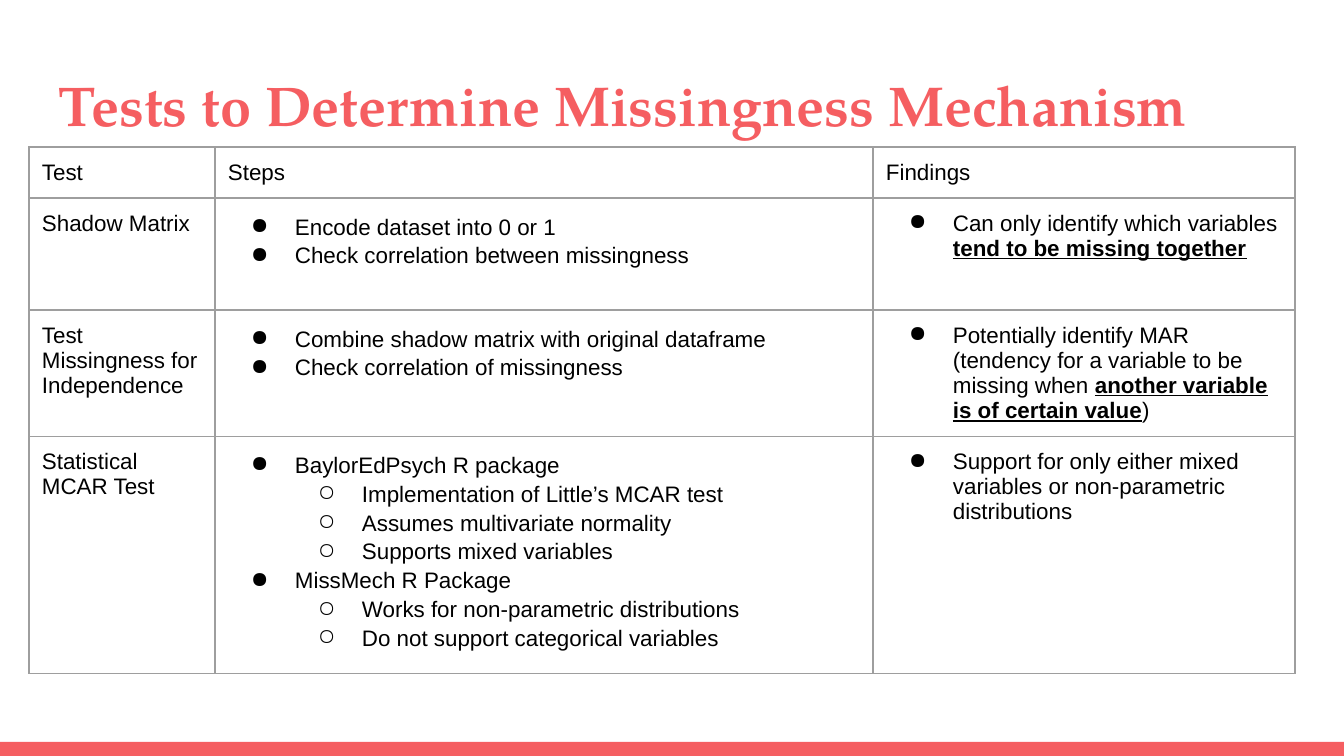
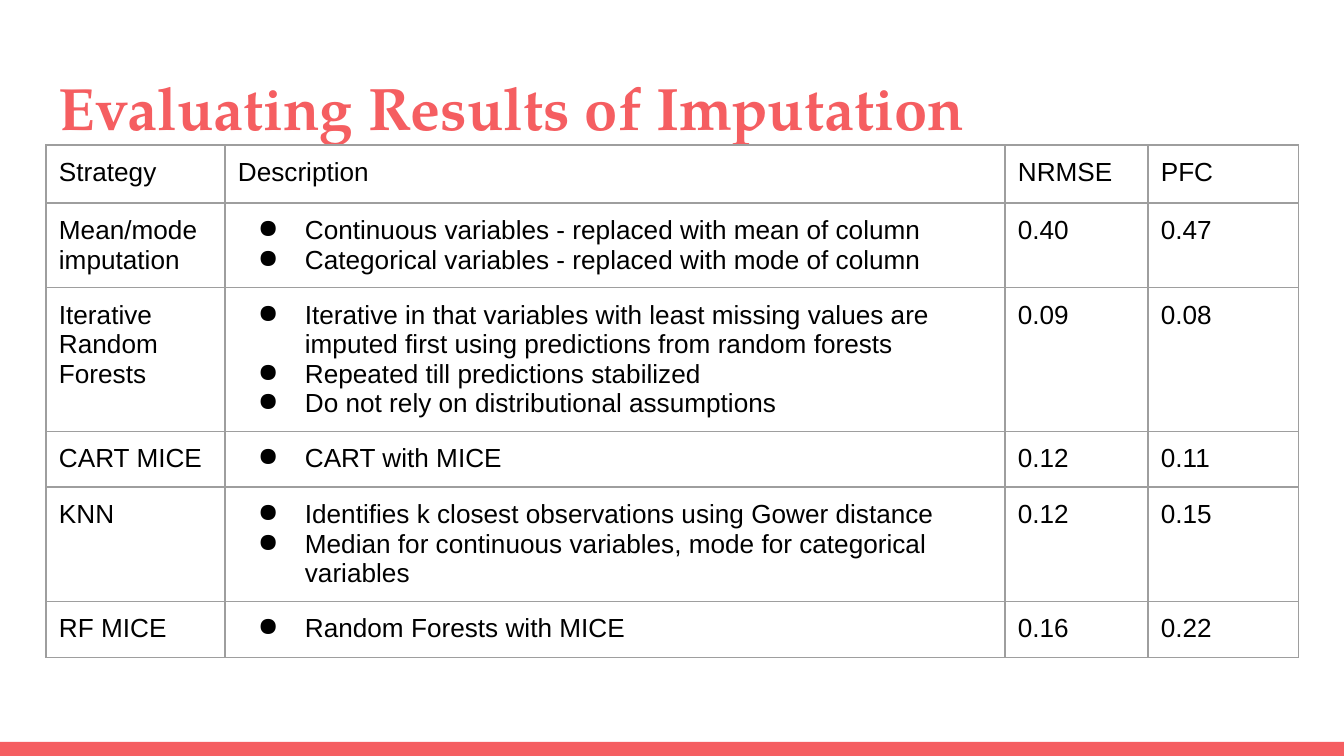
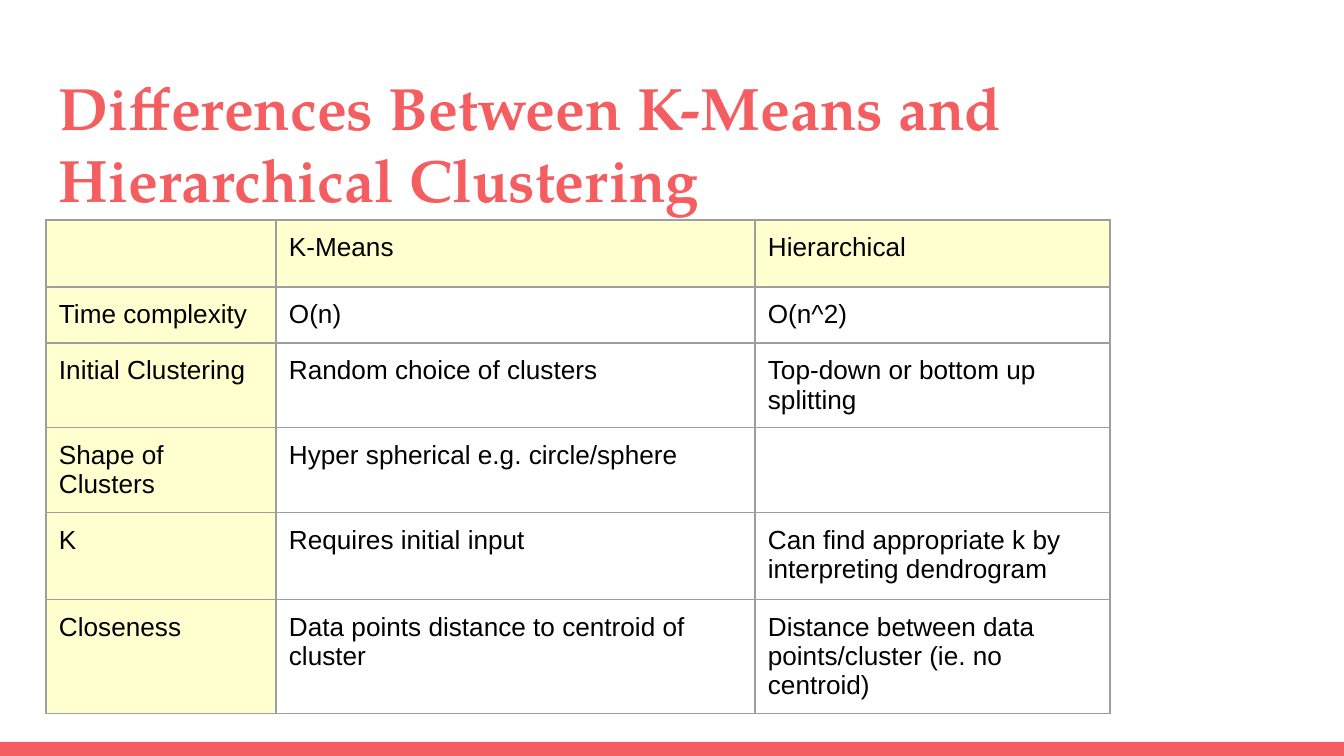
from lxml.etree import SubElement
from pptx import Presentation
from pptx.dml.color import RGBColor
from pptx.enum.shapes import MSO_SHAPE
from pptx.enum.text import MSO_ANCHOR, MSO_AUTO_SIZE, PP_ALIGN
from pptx.oxml.ns import qn
from pptx.util import Emu, Pt

# Shared look
SLIDE_W, SLIDE_H = 1344, 756
EMU_PER_PX = 9144000 / SLIDE_W
CORAL, BLACK, GRID, YELLOW = "F55E61", "000000", "9E9E9E", "FFFF00"
TITLE_FONT, BODY_FONT = "TeX Gyre Pagella", "Arial"
TITLE_BOX = (46, 58, 1253, 91)
BAND_BOX = (0, 742, SLIDE_W, 14)
INSET, INDENT = 13, 67
HEADER_ALPHA = 19

MISSINGNESS_TESTS = [
    ["Test", "Steps", "Findings"],
    ["Shadow Matrix",
     ["Encode dataset into 0 or 1", "Check correlation between missingness"],
     ["Can only identify which variables **tend to be missing together**"]],
    ["Test Missingness for Independence",
     ["Combine shadow matrix with original dataframe",
      "Check correlation of missingness"],
     ["Potentially identify MAR (tendency for a variable to be missing when "
      "**another variable is of certain value**)"]],
    ["Statistical MCAR Test",
     ["BaylorEdPsych R package",
      ["Implementation of Little’s MCAR test",
       "Assumes multivariate normality",
       "Supports mixed variables"],
      "MissMech R Package",
      ["Works for non-parametric distributions",
       "Do not support categorical variables"]],
     ["Support for only either mixed variables or non-parametric distributions"]],
]

IMPUTATION_RESULTS = [
    ["Strategy", "Description", "NRMSE", "PFC"],
    ["Mean/mode imputation",
     ["Continuous variables - replaced with mean of column",
      "Categorical variables - replaced with mode of column"],
     "0.40", "0.47"],
    ["Iterative Random Forests",
     ["Iterative in that variables with least missing values are imputed first "
      "using predictions from random forests",
      "Repeated till predictions stabilized",
      "Do not rely on distributional assumptions"],
     "0.09", "0.08"],
    ["CART MICE", ["CART with MICE"], "0.12", "0.11"],
    ["KNN",
     ["Identifies k closest observations using Gower distance",
      "Median for continuous variables, mode for categorical variables"],
     "0.12", "0.15"],
    ["RF MICE", ["Random Forests with MICE"], "0.16", "0.22"],
]

CLUSTERING_DIFFERENCES = [
    ["", "K-Means", "Hierarchical"],
    ["Time complexity", "O(n)", "O(n^2)"],
    ["Initial Clustering", "Random choice of clusters",
     "Top-down or bottom up splitting"],
    ["Shape of Clusters", "Hyper spherical e.g. circle/sphere", ""],
    ["K", "Requires initial input",
     "Can find appropriate k by interpreting dendrogram"],
    ["Closeness", "Data points distance to centroid of cluster",
     "Distance between data points/cluster (ie. no centroid)"],
]

SLIDES = [
    dict(title="Tests to Determine Missingness Mechanism", title_size=30,
         rows=MISSINGNESS_TESTS, origin=(29, 147), widths=(186, 658, 422),
         heights=(47, 112, 116, 237), size=12, hanging=44, loose_column=1),
    dict(title="Evaluating Results of Imputation", title_size=32,
         rows=IMPUTATION_RESULTS, origin=(46, 145), widths=(179, 780, 143, 151),
         heights=(58,) + (56,) * 5, size=14, hanging=47),
    dict(title="Differences Between K-Means and Hierarchical Clustering",
         title_size=32, rows=CLUSTERING_DIFFERENCES, origin=(46, 220),
         widths=(230, 479, 355), heights=(56,) * 4 + (87,) * 2, size=14,
         tinted=True),
]


def px(length):
    return Emu(round(length * EMU_PER_PX))


def color(hex_code):
    return RGBColor.from_string(hex_code)


def apply(target, values):
    for name, value in values.items():
        setattr(target, name, value)


def write_run(paragraph, text, hex_code, **font_values):
    run = paragraph.add_run()
    run.text = text
    apply(run.font, font_values)
    run.font.color.rgb = color(hex_code)


def add_band(slide, box):
    band = slide.shapes.add_shape(MSO_SHAPE.RECTANGLE, *map(px, box))
    band.shadow.inherit = False
    band.fill.solid()
    band.fill.fore_color.rgb = color(CORAL)
    band.line.fill.background()


def add_title(slide, text, size, box):
    title = slide.shapes.title
    apply(title, dict(zip(("left", "top", "width", "height"), map(px, box))))
    frame = title.text_frame
    margins = dict.fromkeys(
        ("margin_left", "margin_top", "margin_right", "margin_bottom"), px(INSET))
    apply(frame, dict(margins, word_wrap=True, auto_size=MSO_AUTO_SIZE.NONE,
                      vertical_anchor=MSO_ANCHOR.TOP))
    heading = frame.paragraphs[0]
    heading.alignment = PP_ALIGN.LEFT
    write_run(heading, text, CORAL, name=TITLE_FONT, size=Pt(size), bold=True)


def add_bullet(paragraph, level, hanging):
    paragraph.level = level
    properties = paragraph._p.get_or_add_pPr()
    properties.set("marL", str(px(INDENT * (level + 1))))
    properties.set("indent", str(-px(hanging)))
    bullet_color = SubElement(properties, qn("a:buClr"))
    SubElement(bullet_color, qn("a:srgbClr"), val=BLACK)
    SubElement(properties, qn("a:buChar"), char="●○"[level])


def add_borders(cell):
    properties = cell._tc.get_or_add_tcPr()
    for side in "LRTB":
        border = SubElement(properties, qn(f"a:ln{side}"), w=str(Pt(0.75)))
        fill = SubElement(border, qn("a:solidFill"))
        SubElement(fill, qn("a:srgbClr"), val=GRID)


def fill_cell(cell, tinted):
    if not tinted:
        cell.fill.background()
        return
    cell.fill.solid()
    cell.fill.fore_color.rgb = color(YELLOW)
    tint = cell._tc.tcPr.find(f"{qn('a:solidFill')}/{qn('a:srgbClr')}")
    SubElement(tint, qn("a:alpha"), val=str(HEADER_ALPHA * 1000))


def leveled(content):
    """Yield each line with its bullet level; plain text has none."""
    if isinstance(content, str):
        yield content, None
        return
    for item in content:
        if isinstance(item, str):
            yield item, 0
        else:
            yield from ((line, 1) for line in item)


def write_cell(cell, content, size, hanging, spacing):
    apply(cell, dict.fromkeys(
        ("margin_left", "margin_top", "margin_right", "margin_bottom"), px(INSET)))
    if not content:
        return
    frame = cell.text_frame
    for number, (line, level) in enumerate(leveled(content)):
        paragraph = frame.add_paragraph() if number else frame.paragraphs[0]
        if level is not None:
            add_bullet(paragraph, level, hanging)
            if spacing:
                paragraph.line_spacing = spacing
        # Text between double asterisks is bold and underlined
        for part, text in enumerate(line.split("**")):
            if text:
                strong = part % 2 == 1
                write_run(paragraph, text, BLACK, name=BODY_FONT, size=Pt(size),
                          bold=strong, underline=strong)


def add_grid(slide, rows, origin, widths, heights, size, hanging=0,
             loose_column=None, tinted=False):
    box = (*origin, sum(widths), sum(heights))
    table = slide.shapes.add_table(len(rows), len(widths), *map(px, box)).table
    apply(table, dict(first_row=False, horz_banding=False))
    for column, width in zip(table.columns, widths):
        column.width = px(width)
    for row, height in zip(table.rows, heights):
        row.height = px(height)
    for r, contents in enumerate(rows):
        for c, content in enumerate(contents):
            cell = table.cell(r, c)
            add_borders(cell)
            fill_cell(cell, tinted and (r == 0 or c == 0))
            write_cell(cell, content, size, hanging,
                       1.15 if c == loose_column else None)


def add_table_slide(deck, title, title_size, **grid):
    slide = deck.slides.add_slide(deck.slide_layouts[5])
    add_band(slide, BAND_BOX)
    add_title(slide, title, title_size, TITLE_BOX)
    add_grid(slide, **grid)


def main():
    deck = Presentation()
    apply(deck, dict(slide_width=px(SLIDE_W), slide_height=px(SLIDE_H)))
    for content in SLIDES:
        add_table_slide(deck, **content)
    deck.save("out.pptx")


if __name__ == "__main__":
    main()
